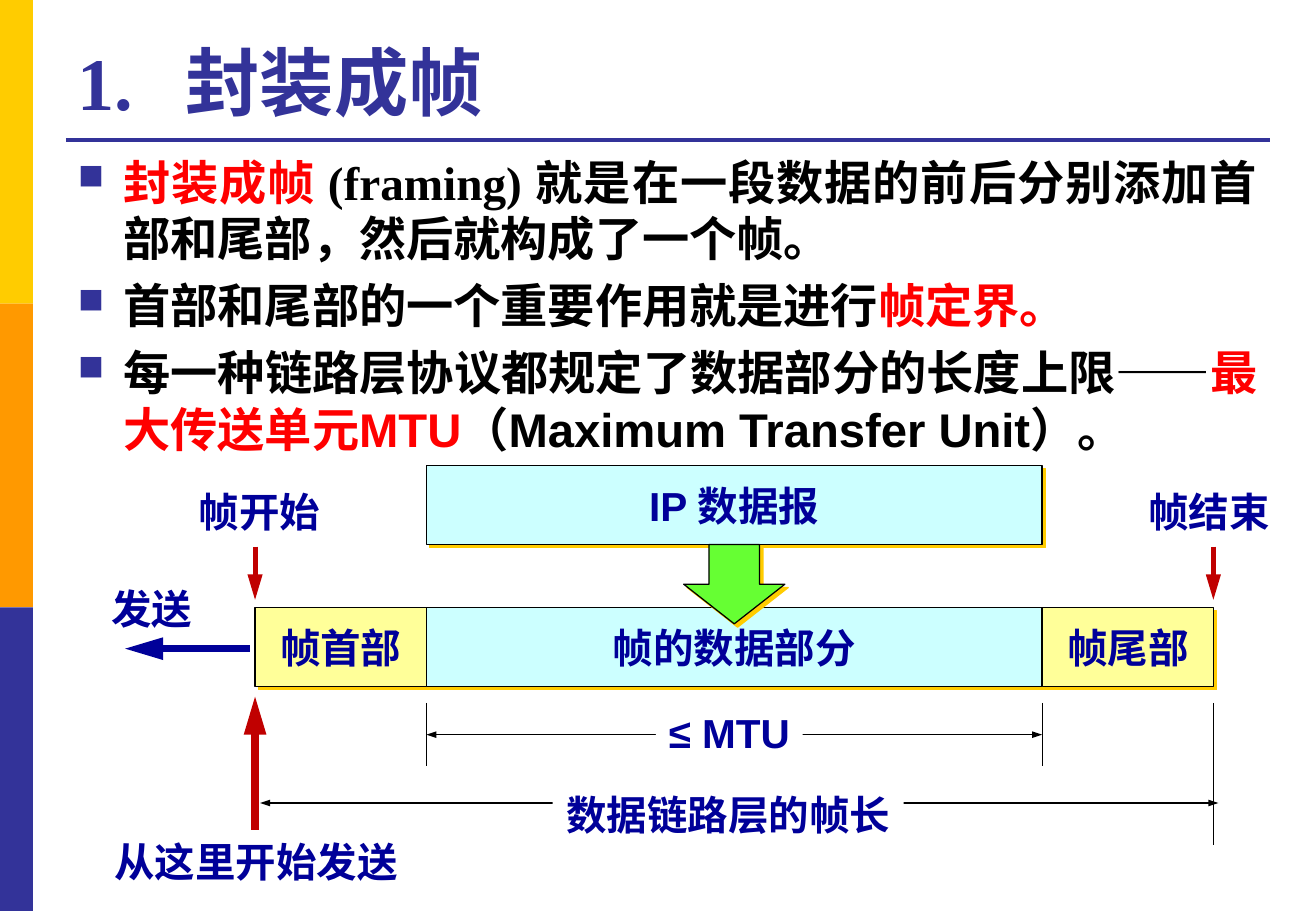
from dataclasses import dataclass

from lxml import etree
from pptx import Presentation
from pptx.dml.color import RGBColor
from pptx.enum.shapes import MSO_CONNECTOR, MSO_SHAPE
from pptx.enum.text import MSO_ANCHOR, PP_ALIGN
from pptx.oxml.ns import qn
from pptx.util import Pt

RECT, DOWN_ARROW = MSO_SHAPE.RECTANGLE, MSO_SHAPE.DOWN_ARROW
STRAIGHT = MSO_CONNECTOR.STRAIGHT
TOP, MIDDLE, BOTTOM = MSO_ANCHOR.TOP, MSO_ANCHOR.MIDDLE, MSO_ANCHOR.BOTTOM
LEFT, CENTER, JUSTIFY = PP_ALIGN.LEFT, PP_ALIGN.CENTER, PP_ALIGN.JUSTIFY


@dataclass(frozen=True)
class Theme:
    """Colours, fonts and type sizes of the slide."""
    white: str = "FFFFFF"
    black: str = "000000"
    indigo: str = "333399"
    gold: str = "FFCC00"
    orange: str = "FF9900"
    red: str = "FF0000"
    navy: str = "000099"
    crimson: str = "C00000"
    cyan: str = "CCFFFF"
    yellow: str = "FFFF99"
    green: str = "66FF33"
    serif: str = "Times New Roman"
    sans: str = "Arial"
    title: int = 44
    body: int = 28
    label: int = 24


THEME = Theme()


def add_xml(parent, tag, **attributes):
    """Append a DrawingML element to a parent."""
    return etree.SubElement(parent, qn(tag), attributes)


def add_run(paragraph, text, size, font, color):
    """Add one bold run."""
    run = paragraph.add_run()
    run.text = text
    run.font.size = Pt(size)
    run.font.name = font
    run.font.bold = True
    run.font.color.rgb = RGBColor.from_string(color)


def set_hanging(paragraph, indent):
    """Give a paragraph a hanging indent and return its properties."""
    properties = paragraph._p.get_or_add_pPr()
    properties.set("marL", str(Pt(indent)))
    properties.set("indent", str(-Pt(indent)))
    return properties


def add_text_box(slide, box, anchor):
    """Add an empty wrapping text box and return its frame."""
    frame = slide.shapes.add_textbox(*map(Pt, box)).text_frame
    frame.word_wrap = True
    frame.vertical_anchor = anchor
    return frame


def add_title(slide, number, heading):
    """Add the numbered slide title."""
    paragraph = add_text_box(slide, (39, 15, 713.5, 62.7), BOTTOM).paragraphs[0]
    paragraph.alignment = LEFT
    set_hanging(paragraph, 64)
    add_run(paragraph, f"{number}\t{heading}", THEME.title, THEME.serif, THEME.indigo)


def add_bullets(slide, bullets):
    """Add the bulleted body, each bullet a list of runs."""
    frame = add_text_box(slide, (39, 87.1, 713.5, 200), TOP)
    for index, runs in enumerate(bullets):
        paragraph = frame.add_paragraph() if index else frame.paragraphs[0]
        paragraph.alignment = JUSTIFY
        properties = set_hanging(paragraph, 27)
        add_xml(add_xml(properties, "a:buClr"), "a:srgbClr", val=THEME.indigo)
        add_xml(properties, "a:buSzPct", val="75000")
        add_xml(properties, "a:buChar", char="■")
        if index:
            paragraph.space_before = Pt(6)
        for text, font, color in runs:
            add_run(paragraph, text, THEME.body, font, color)


def add_block(slide, kind, box, fill=None, text=""):
    """Add a borderless shape with an optional centred label."""
    block = slide.shapes.add_shape(kind, *map(Pt, box))
    block.shadow.inherit = False
    block.line.fill.background()
    if fill:
        block.fill.solid()
        block.fill.fore_color.rgb = RGBColor.from_string(fill)
    else:
        block.fill.background()
    if text:
        frame = block.text_frame
        frame.word_wrap = False
        frame.vertical_anchor = MIDDLE
        frame.paragraphs[0].alignment = CENTER
        add_run(frame.paragraphs[0], text, THEME.label, THEME.sans, THEME.navy)
    return block


def add_raised(slide, kind, box, fill, text=""):
    """Add an outlined block with a gold offset shadow."""
    block = add_block(slide, kind, box, fill, text)
    block.line.color.rgb = RGBColor.from_string(THEME.black)
    block.line.width = Pt(0.75)
    effects = block._element.spPr.find(qn("a:effectLst"))
    shadow = add_xml(effects, "a:outerShdw", dist=str(Pt(2.8)), dir="2700000",
                     algn="ctr", rotWithShape="0")
    add_xml(shadow, "a:srgbClr", val=THEME.gold)


def add_line(slide, start, end, color=THEME.black, width=0.75, heads=(), size=("med", "lg")):
    """Add a straight line with triangles at the named ends."""
    line = slide.shapes.add_connector(STRAIGHT, *map(Pt, (*start, *end)))
    line.line.color.rgb = RGBColor.from_string(color)
    line.line.width = Pt(width)
    for head in heads:
        add_xml(line.line._get_or_add_ln(), head, type="triangle", w=size[0], len=size[1])
    add_xml(line._element.spPr, "a:effectLst")


def add_arrow(slide, start, end, color, width):
    """Add a heavy arrow pointing at its end."""
    add_line(slide, start, end, color, width, ("a:tailEnd",))


def add_dimension(slide, left, right, y):
    """Add a thin double-headed measuring line."""
    add_line(slide, (left, y), (right, y), heads=("a:headEnd", "a:tailEnd"), size=("sm", "med"))


def add_frame_diagram(slide):
    """Draw the frame, its datagram, measures and sending arrows."""
    end_width, data_width, height = 101.5, 365, 47
    datagram_top, frame_top = 275.8, 360
    frame_left = 151.2
    data_left = frame_left + end_width
    data_right = data_left + data_width
    frame_right = data_right + end_width

    for left, width, fill, text in (
            (frame_left, end_width, THEME.yellow, "帧首部"),
            (data_left, data_width, THEME.cyan, "帧的数据部分"),
            (data_right, end_width, THEME.yellow, "帧尾部")):
        add_raised(slide, RECT, (left, frame_top, width, height), fill, text)
    add_raised(slide, RECT, (data_left, datagram_top, data_width, height), THEME.cyan, "IP 数据报")

    add_dimension(slide, frame_left + 3, frame_right + 3, 476)
    add_dimension(slide, data_left, data_right, 435.5)
    for x, bottom in ((data_left, 454), (data_right, 454), (frame_right, 501)):
        add_line(slide, (x, 416.7), (x, bottom))

    for left, top, width, fill, text in (
            (673.2, 285, 87, THEME.white, "帧结束"),
            (110.2, 285, 87, THEME.white, "帧开始"),
            (388.8, 416.3, 87, THEME.white, "≤ MTU"),
            (327.6, 464.5, 208, THEME.white, "数据链路层的帧长"),
            (49.7, 492.5, 204, THEME.white, "从这里开始发送"),
            (51.8, 342.7, 76.3, None, "发送")):
        add_block(slide, RECT, (left, top, width, 36), fill, text)

    arrow_width = 60
    arrow_left = data_left + (data_width - arrow_width) / 2
    add_raised(slide, DOWN_ARROW, (arrow_left, datagram_top + height, arrow_width, height), THEME.green)

    for x in (frame_left, frame_right):
        add_arrow(slide, (x, 324), (x, 355.5), THEME.crimson, 3)
    add_arrow(slide, (frame_left, 492), (frame_left, 413), THEME.crimson, 4.5)
    add_arrow(slide, (148, 384.5), (74.2, 384.5), THEME.navy, 4.5)


def main():
    """Build the slide and save it."""
    deck = Presentation()
    deck.slide_width, deck.slide_height = Pt(780), Pt(540)
    slide = deck.slides.add_slide(deck.slide_layouts[6])

    for index, color in enumerate((THEME.gold, THEME.orange, THEME.indigo)):
        add_block(slide, RECT, (0, index * 180, 19.6, 180), color)
    add_line(slide, (39, 83), (753, 83), THEME.indigo, 2.25)
    add_title(slide, "1.", "封装成帧")
    add_bullets(slide, (
        (("封装成帧 ", THEME.serif, THEME.red),
         ("(framing) 就是在一段数据的前后分别添加首部和尾部，然后就构成了一个帧。",
          THEME.serif, THEME.black)),
        (("首部和尾部的一个重要作用就是进行", THEME.sans, THEME.black),
         ("帧定界。", THEME.sans, THEME.red)),
        (("每一种链路层协议都规定了数据部分的长度上限——", THEME.sans, THEME.black),
         ("最大传送单元MTU", THEME.sans, THEME.red),
         ("（Maximum Transfer Unit）。", THEME.sans, THEME.black)),
    ))
    add_frame_diagram(slide)
    deck.save("out.pptx")


if __name__ == "__main__":
    main()
